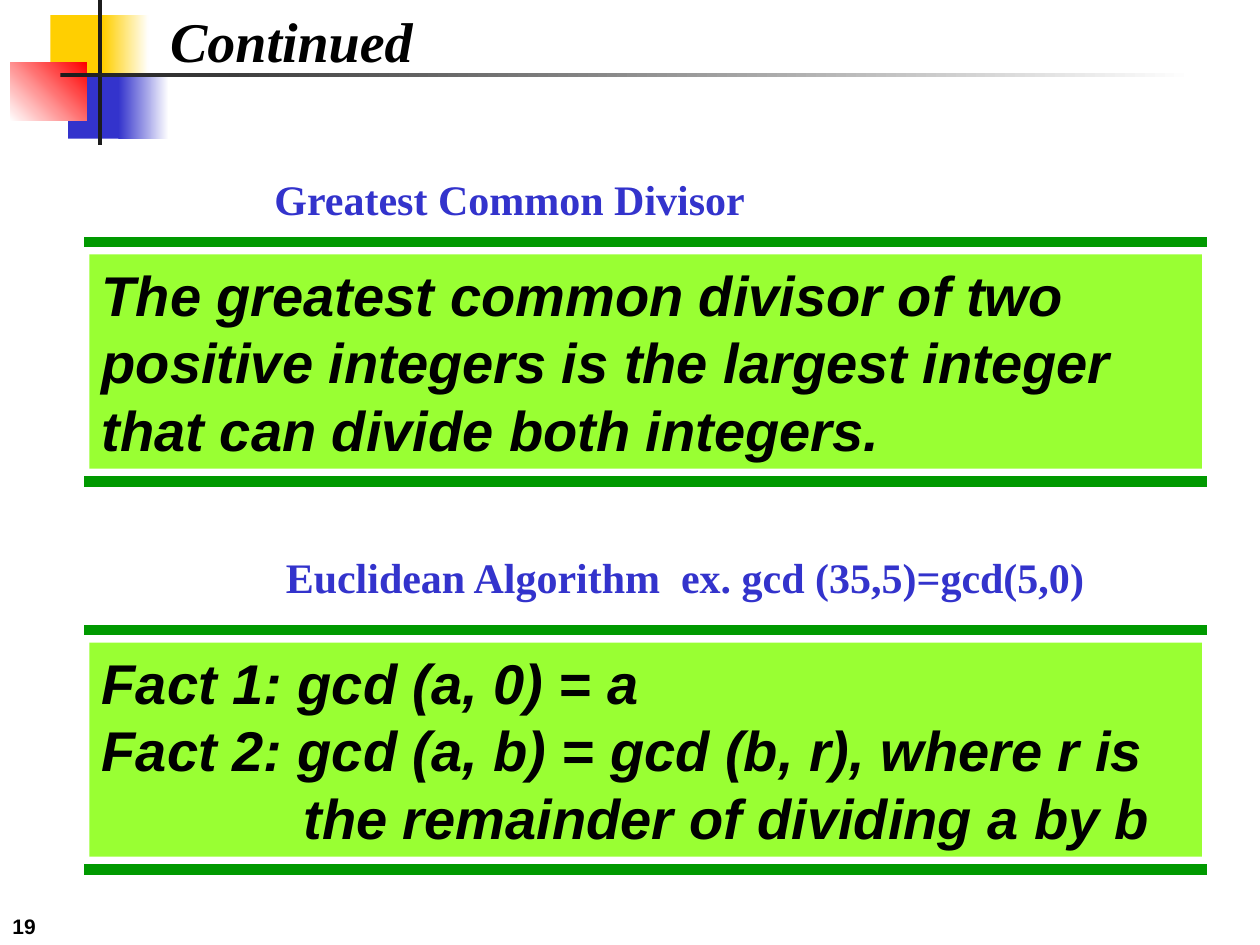
from pptx import Presentation
from pptx.dml.color import RGBColor
from pptx.enum.shapes import MSO_CONNECTOR, MSO_SHAPE
from pptx.enum.text import MSO_ANCHOR, MSO_AUTO_SIZE, PP_ALIGN
from pptx.oxml.ns import qn
from pptx.util import Inches, Pt

BLACK = RGBColor(0x00, 0x00, 0x00)
WHITE = RGBColor(0xFF, 0xFF, 0xFF)
DARK = RGBColor(0x1C, 0x1C, 0x1C)
GOLD = RGBColor(0xFF, 0xCF, 0x01)
BLUE = RGBColor(0x33, 0x33, 0xCC)
RED = RGBColor(0xFF, 0x00, 0x00)
GREEN = RGBColor(0x00, 0x99, 0x00)
LIME = RGBColor(0x99, 0xFF, 0x33)

TITLE = {"name": "Times New Roman", "size": Pt(32), "bold": True, "italic": True}
HEAD = {"name": "Times New Roman", "size": Pt(24), "bold": True, "italic": False}
BODY = {"name": "Arial", "size": Pt(32), "bold": True, "italic": True}
PAGE = {"name": "Arial", "size": Pt(12), "bold": True, "italic": False}

# left, top, width, height, colours (two make a gradient), gradient angle
DECOR = [
    (0.4, 0.12, 0.48, 0.52, [GOLD], 0),
    (0.82, 0.12, 0.36, 0.52, [GOLD, WHITE], 0),
    (0.54, 0.58, 0.46, 0.52, [BLUE], 0),
    (0.94, 0.58, 0.4, 0.52, [BLUE, WHITE], 0),
    (0.08, 0.5, 0.61, 0.46, [WHITE, RED], 45),
    (0.78, 0, 0.03, 1.15, [DARK], 0),
    (0.48, 0.58, 9, 0.03, [DARK, WHITE], 0),
]

# heading, its box, top of the panel, lines as (text, indent)
PANELS = [
    ("Greatest Common Divisor", (2.08, 1.33, 3.94, 0.5), 2.02, [
        ("The greatest common divisor of two positive integers is "
         "the largest integer that can divide both integers.", 0),
    ]),
    ("Euclidean Algorithm  ex. gcd (35,5)=gcd(5,0)", (2.17, 4.33, 6.6, 0.5), 5.1, [
        ("Fact 1: gcd (a, 0) = a", 0),
        ("Fact 2: gcd (a, b) = gcd (b, r), where r is", 0),
        ("the remainder of dividing a by b", 1.6),
    ]),
]
LEFT, WIDTH, HEIGHT = 0.71, 8.83, 1.7
RULE_LEFT, RULE_RIGHT = 0.67, 9.58
GAP = 0.1


def write(shape, lines, style, color, anchor=MSO_ANCHOR.TOP, wrap=True):
    frame = shape.text_frame
    frame.word_wrap = wrap
    frame.auto_size = MSO_AUTO_SIZE.NONE
    frame.vertical_anchor = anchor
    for i, (text, indent) in enumerate(lines):
        para = frame.add_paragraph() if i else frame.paragraphs[0]
        para.alignment = PP_ALIGN.LEFT
        if indent:
            para._p.get_or_add_pPr().set("marL", str(Inches(indent)))
        run = para.add_run()
        run.text = text
        for key, value in style.items():
            setattr(run.font, key, value)
        run.font.color.rgb = color


def add_rect(shapes, box, colors, angle=0):
    rect = shapes.add_shape(MSO_SHAPE.RECTANGLE, *map(Inches, box))
    rect.shadow.inherit = False
    rect.line.fill.background()
    if len(colors) == 1:
        rect.fill.solid()
        rect.fill.fore_color.rgb = colors[0]
    else:
        rect.fill.gradient()
        rect.fill.gradient_angle = angle
        for stop, color in zip(rect.fill.gradient_stops, colors):
            stop.color.rgb = color
    return rect


def add_rule(shapes, y):
    rule = shapes.add_connector(MSO_CONNECTOR.STRAIGHT, Inches(RULE_LEFT),
                                Inches(y), Inches(RULE_RIGHT), Inches(y))
    rule.line.color.rgb = GREEN
    rule.line.width = Pt(6)
    props = rule._element.spPr
    props.append(props.makeelement(qn("a:effectLst"), {}))


def add_panel(shapes, head, box, top, lines):
    label = shapes.add_textbox(*map(Inches, box))
    write(label, [(head, 0)], HEAD, BLUE, wrap=False)
    for y in (top - GAP, top + HEIGHT + GAP):
        add_rule(shapes, y)
    panel = add_rect(shapes, (LEFT, top, WIDTH, HEIGHT), [LIME])
    write(panel, lines, BODY, BLACK)


def main():
    deck = Presentation()
    deck.slide_width, deck.slide_height = Inches(10), Inches(7.5)
    slide = deck.slides.add_slide(deck.slide_layouts[5])
    shapes = slide.shapes

    title = shapes.title
    title.left, title.top, title.width, title.height = map(
        Inches, (1.25, 0, 2.15, 0.64))
    write(title, [("Continued", 0)], TITLE, BLACK, wrap=False)

    for *box, colors, angle in DECOR:
        add_rect(shapes, box, colors, angle)
    for panel in PANELS:
        add_panel(shapes, *panel)

    number = shapes.add_textbox(*map(Inches, (0, 7, 2.08, 0.5)))
    write(number, [("19", 0)], PAGE, BLACK, MSO_ANCHOR.BOTTOM)
    deck.save("out.pptx")


if __name__ == "__main__":
    main()
